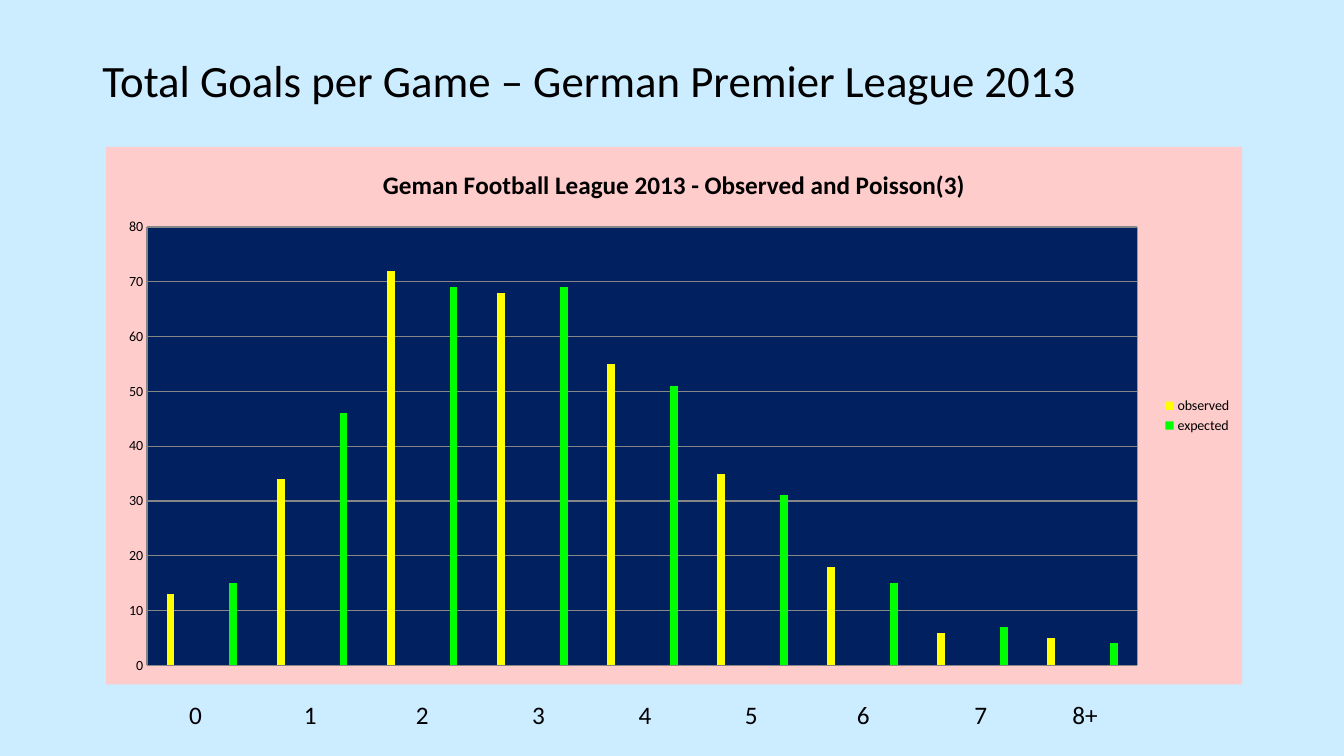
from dataclasses import dataclass

from lxml import etree
from pptx import Presentation
from pptx.chart.data import CategoryChartData
from pptx.dml.color import RGBColor
from pptx.enum.chart import XL_CHART_TYPE, XL_LEGEND_POSITION, XL_TICK_MARK
from pptx.enum.text import MSO_ANCHOR
from pptx.oxml.ns import qn
from pptx.util import Pt

CLUSTERED = XL_CHART_TYPE.COLUMN_CLUSTERED
LEGEND_RIGHT = XL_LEGEND_POSITION.RIGHT
NO_TICKS = XL_TICK_MARK.NONE
MIDDLE = MSO_ANCHOR.MIDDLE
TOP = MSO_ANCHOR.TOP


@dataclass(frozen=True)
class Theme:
    font: str = "Calibri"
    text: str = "000000"
    background: str = "CCECFF"
    chart_area: str = "FFCCCC"
    plot_area: str = "002060"
    gridline: str = "868686"
    observed: str = "FFFF00"
    expected: str = "00FF00"
    heading_size: int = 32
    label_size: int = 18
    chart_title_size: int = 18
    chart_size: int = 10


THEME = Theme()

OBSERVED = [13, 34, 72, 68, 55, 35, 18, 6, 5]
EXPECTED = [15, 46, 69, 69, 51, 31, 15, 7, 4]
GOAL_LABELS = [
    ("0", 128, 22), ("1", 210, 25), ("2", 290, 23),
    ("3", 373, 17), ("4", 449, 21), ("5", 525, 25),
    ("6", 605, 29), ("7", 689, 30), ("8+", 759, 39),
]
PLOT_LAYOUT = {"x": 0.036, "y": 0.149, "w": 0.872, "h": 0.816}


def style_font(font, size, bold=False):
    font.name = THEME.font
    font.size = Pt(size)
    font.bold = bold
    font.color.rgb = RGBColor.from_string(THEME.text)


def fill_solid(fill, color):
    fill.solid()
    fill.fore_color.rgb = RGBColor.from_string(color)


def add_text(slide, text, left, top, width, height, size, anchor=TOP):
    frame = slide.shapes.add_textbox(
        Pt(left), Pt(top), Pt(width), Pt(height)).text_frame
    frame.word_wrap = True
    frame.vertical_anchor = anchor
    frame.text = text
    style_font(frame.paragraphs[0].runs[0].font, size)
    return frame


def add_area_fill(element, color):
    properties = etree.SubElement(element, qn("c:spPr"))
    solid = etree.SubElement(properties, qn("a:solidFill"))
    etree.SubElement(solid, qn("a:srgbClr"), val=color)
    return properties


def fill_chart_areas(chart):
    plot_area = chart.element.find(qn("c:chart")).find(qn("c:plotArea"))
    add_area_fill(plot_area, THEME.plot_area)
    chart_properties = add_area_fill(chart.element, THEME.chart_area)
    chart.element.find(qn("c:chart")).addnext(chart_properties)


def place_plot(chart):
    plot_area = chart.element.find(qn("c:chart")).find(qn("c:plotArea"))
    for old_layout in plot_area.findall(qn("c:layout")):
        plot_area.remove(old_layout)
    layout = etree.Element(qn("c:layout"))
    plot_area.insert(0, layout)
    manual = etree.SubElement(layout, qn("c:manualLayout"))
    etree.SubElement(manual, qn("c:layoutTarget"), val="inner")
    for side in "xy":
        etree.SubElement(manual, qn(f"c:{side}Mode"), val="edge")
    for side, share in PLOT_LAYOUT.items():
        etree.SubElement(manual, qn(f"c:{side}"), val=str(share))


def goals_data():
    data = CategoryChartData()
    data.categories = [str(n) for n in range(1, 2 * len(OBSERVED) + 1)]
    data.add_series("observed", [v for n in OBSERVED for v in (n, None)])
    data.add_series("expected", [v for n in EXPECTED for v in (None, n)])
    return data


def style_axes(chart):
    chart.category_axis.visible = False
    goals_axis = chart.value_axis
    goals_axis.minimum_scale = 0
    goals_axis.maximum_scale = 80
    goals_axis.major_unit = 10
    goals_axis.major_tick_mark = NO_TICKS
    goals_axis.minor_tick_mark = NO_TICKS
    goals_axis.has_major_gridlines = True
    for line in (goals_axis.format.line, goals_axis.major_gridlines.format.line):
        line.width = Pt(0.75)
        line.color.rgb = RGBColor.from_string(THEME.gridline)


def add_goals_chart(slide, left, top, width, height):
    chart = slide.shapes.add_chart(
        CLUSTERED, Pt(left), Pt(top), Pt(width), Pt(height), goals_data()).chart
    style_font(chart.font, THEME.chart_size)
    chart.has_title = True
    title = chart.chart_title.text_frame
    title.text = "Geman Football League 2013 - Observed and Poisson(3)"
    style_font(title.paragraphs[0].runs[0].font, THEME.chart_title_size, True)
    chart.has_legend = True
    chart.legend.position = LEGEND_RIGHT
    chart.legend.include_in_layout = False
    style_axes(chart)
    plot = chart.plots[0]
    plot.gap_width = 500
    plot.overlap = 0
    plot.vary_by_categories = False
    for series, color in zip(plot.series, (THEME.observed, THEME.expected)):
        fill_solid(series.format.fill, color)
    place_plot(chart)
    fill_chart_areas(chart)


def main():
    deck = Presentation()
    deck.slide_width, deck.slide_height = Pt(960), Pt(540)
    slide = deck.slides.add_slide(deck.slide_layouts[6])
    fill_solid(slide.background.fill, THEME.background)

    heading = add_text(
        slide, "Total Goals per Game – German Premier League 2013",
        66, 29, 828, 60, THEME.heading_size, MIDDLE)
    heading.paragraphs[0].line_spacing = 0.9

    add_goals_chart(slide, 75.8, 105, 811.4, 383.8)

    for goals, left, width in GOAL_LABELS:
        add_text(slide, goals, left, 496, width, 29, THEME.label_size)

    deck.save("out.pptx")


if __name__ == "__main__":
    main()
